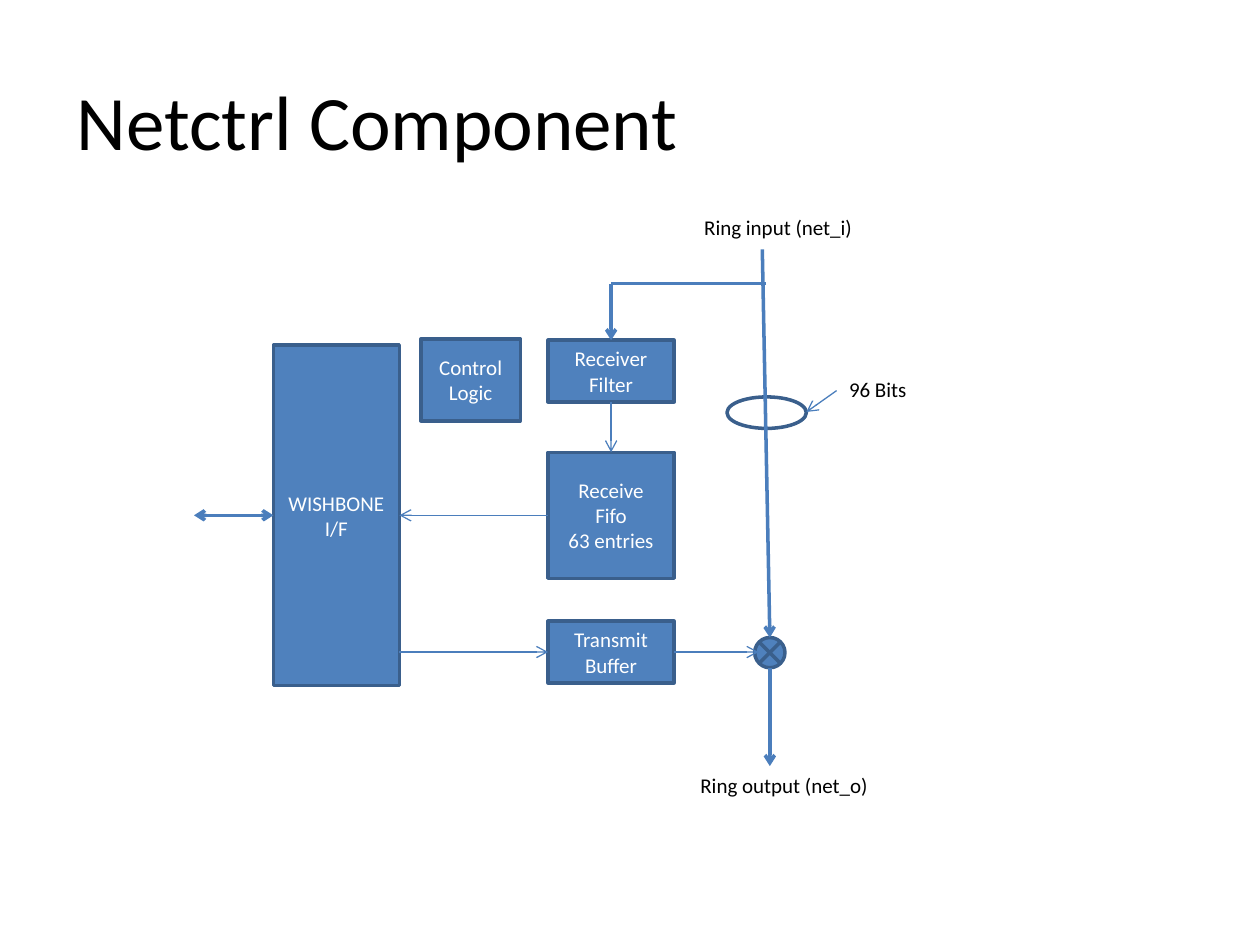
"""Build the Netctrl component block diagram slide."""
import pptx
import pptx.dml.color
import pptx.enum.shapes
import pptx.enum.text
import pptx.oxml
import pptx.oxml.ns
import pptx.util

BLUE = pptx.dml.color.RGBColor(0x4F, 0x81, 0xBD)
OUTLINE = pptx.dml.color.RGBColor(0x3A, 0x5F, 0x8C)
WIRE = pptx.dml.color.RGBColor(0x4B, 0x7E, 0xBC)
WHITE = pptx.dml.color.RGBColor(0xFF, 0xFF, 0xFF)
BLACK = pptx.dml.color.RGBColor(0x00, 0x00, 0x00)
MIDDLE = pptx.enum.text.MSO_ANCHOR.MIDDLE
TOP = pptx.enum.text.MSO_ANCHOR.TOP
CENTER = pptx.enum.text.PP_ALIGN.CENTER
LEFT = pptx.enum.text.PP_ALIGN.LEFT
KINDS = pptx.enum.shapes.MSO_SHAPE

deck = pptx.Presentation()
deck.slide_width = pptx.util.Inches(10)
deck.slide_height = pptx.util.Inches(7.5)
COLUMN = deck.slide_width / 100
ROW = deck.slide_height / 75
page = deck.slides.add_slide(deck.slide_layouts[6])


def place(left, top, width, height):
    """Turn grid columns and rows into slide lengths."""
    return [round(left * COLUMN), round(top * ROW), round(width * COLUMN), round(height * ROW)]


def write(box, words, size, color, align, anchor, wrap):
    """Fill a box with evenly formatted text."""
    frame = box.text_frame
    frame.word_wrap = wrap
    frame.vertical_anchor = anchor
    frame.text = words
    for para in frame.paragraphs:
        para.alignment = align
        for span in para.runs:
            span.font.name = "Calibri"
            span.font.size = pptx.util.Pt(size)
            span.font.color.rgb = color


title = page.shapes.add_textbox(*place(5.1, 4.4, 85, 10.2))
write(title, "Netctrl Component", 44, BLACK, LEFT, MIDDLE, True)

blocks = {}
for name, kind, words, area in [
    ("wishbone", KINDS.RECTANGLE, "WISHBONE I/F", (21.7, 27.4, 10, 27)),
    ("control", KINDS.RECTANGLE, "Control\nLogic", (33.4, 26.9, 7.9, 6.5)),
    ("filter", KINDS.RECTANGLE, "Receiver Filter", (43.5, 27, 10, 4.9)),
    ("fifo", KINDS.RECTANGLE, "Receive Fifo\n63 entries", (43.5, 35.9, 10, 10)),
    ("transmit", KINDS.RECTANGLE, "Transmit Buffer", (43.5, 49.3, 10, 4.9)),
    ("junction", KINDS.FLOWCHART_SUMMING_JUNCTION, "", (59.9, 50.6, 2.4, 2.4)),
    ("bus", KINDS.OVAL, "", (57.7, 31.5, 6.3, 2.5)),
]:
    block = page.shapes.add_shape(kind, *place(*area))
    block.shadow.inherit = False
    block.fill.solid()
    block.fill.fore_color.rgb = BLUE
    block.line.color.rgb = OUTLINE
    block.line.width = pptx.util.Pt(2)
    if words:
        write(block, words, 12, WHITE, CENTER, MIDDLE, True)
    blocks[name] = block
blocks["bus"].fill.background()

for start, finish, weight, arrows, start_joint, finish_joint in [
    ((60.5, 19.8), (61.1, 50.6), 2, ["tailEnd"], None, None),
    ((61.1, 53), (61.1, 60.8), 2, ["tailEnd"], None, None),
    ((66.4, 31), (64, 32.7), 0.75, ["tailEnd"], None, None),
    ((60.8, 22.5), (48.5, 22.5), 2, [], None, None),
    ((48.5, 22.5), (48.5, 27), 2, ["tailEnd"], None, ("filter", 0)),
    ((48.5, 31.9), (48.5, 35.9), 0.75, ["tailEnd"], ("filter", 2), ("fifo", 0)),
    ((43.5, 40.9), (31.7, 40.9), 0.75, ["tailEnd"], ("fifo", 1), ("wishbone", 3)),
    ((31.7, 51.75), (43.5, 51.75), 0.75, ["tailEnd"], None, ("transmit", 1)),
    ((53.5, 51.75), (60.2, 51.75), 0.75, ["tailEnd"], ("transmit", 3), None),
    ((21.7, 40.9), (15.4, 40.9), 2, ["headEnd", "tailEnd"], ("wishbone", 1), None),
]:
    wire = page.shapes.add_connector(
        pptx.enum.shapes.MSO_CONNECTOR.STRAIGHT, *place(*start, *finish)
    )
    if start_joint:
        wire.begin_connect(blocks[start_joint[0]], start_joint[1])
    if finish_joint:
        wire.end_connect(blocks[finish_joint[0]], finish_joint[1])
    wire.line.color.rgb = WIRE
    wire.line.width = pptx.util.Pt(weight)
    outline = wire.line._get_or_add_ln()
    for end in arrows:
        arrow = pptx.oxml.parse_xml(f'<a:{end} {pptx.oxml.ns.nsdecls("a")} type="arrow"/>')
        outline.append(arrow)
    wire._element.spPr.append(
        pptx.oxml.parse_xml(f'<a:effectLst {pptx.oxml.ns.nsdecls("a")}/>')
    )

for words, area in [
    ("Ring input (net_i)", (54.9, 16.5, 13.8, 3)),
    ("96 Bits", (66.4, 29.4, 6.6, 3)),
    ("Ring output (net_o)", (54.6, 60.8, 15.8, 3)),
]:
    label = page.shapes.add_textbox(*place(*area))
    write(label, words, 12, BLACK, LEFT, TOP, False)
    label.text_frame.auto_size = pptx.enum.text.MSO_AUTO_SIZE.SHAPE_TO_FIT_TEXT

deck.save("out.pptx")
